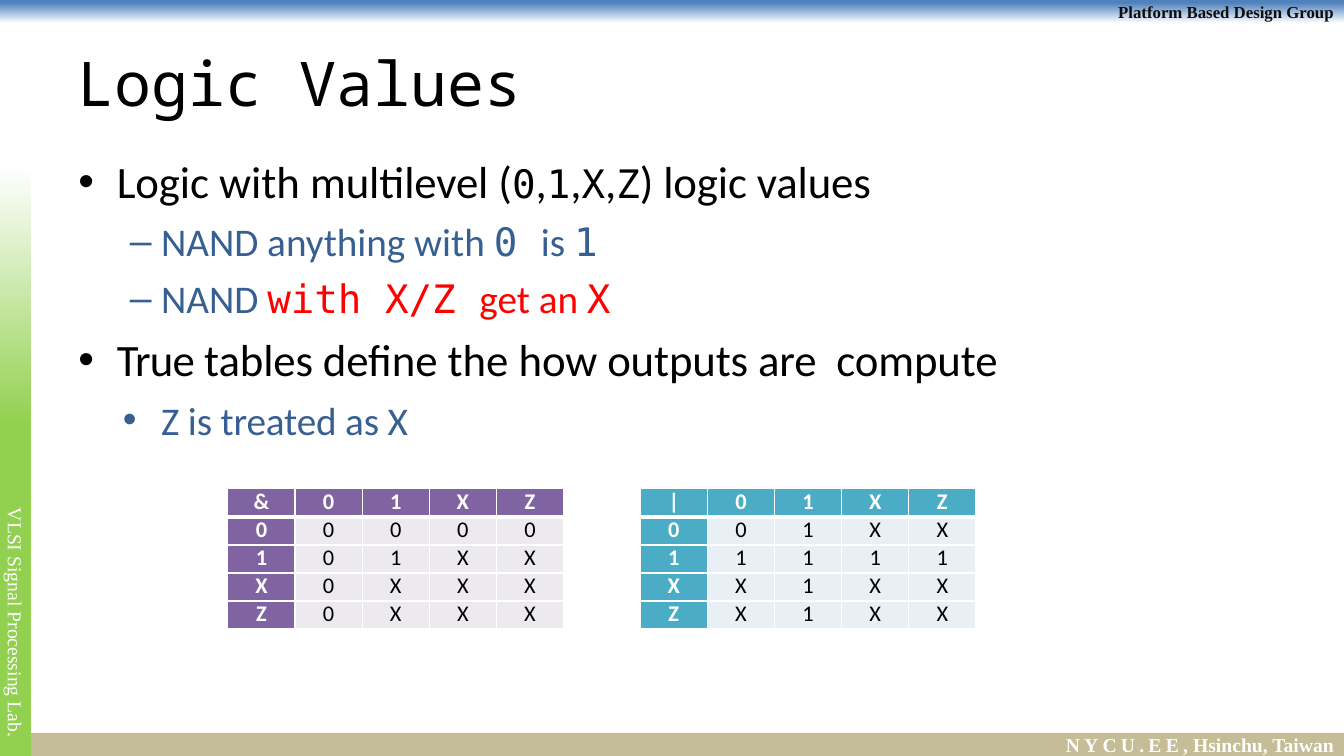
from lxml import etree
from pptx import Presentation
from pptx.dml.color import RGBColor
from pptx.enum.shapes import MSO_SHAPE
from pptx.enum.text import MSO_ANCHOR, PP_ALIGN
from pptx.oxml.ns import qn
from pptx.util import Inches, Pt

RECTANGLE = MSO_SHAPE.RECTANGLE
MIDDLE = MSO_ANCHOR.MIDDLE
LEFT, CENTER, RIGHT = PP_ALIGN.LEFT, PP_ALIGN.CENTER, PP_ALIGN.RIGHT

COLORS = {
    "white": "FFFFFF", "black": "000000", "ink": "0D0D0D",
    "blue": "4F81BD", "green": "92D050", "tan": "C4BD97",
    "navy": "376092", "red": "FF0000",
    "purple": "8063A1", "pale purple": "ECEAEF",
    "teal": "4AACC5", "pale teal": "E9F0F5",
}
SERIF, SANS, MONO, TITLE_FONT = "Times New Roman", "Calibri", "DejaVu Sans Mono", "Noto Sans Mono"

# Each run: text, font, size, colour, letter spacing in points
LEVELS_RUNS = [("0", ","), ("1", ","), ("X", ","), ("Z", ") logic values")]
MULTILEVEL = [("Logic ", SANS, 32, "black", -0.1), ("with ", SANS, 32, "black", 0),
              ("multilevel (", SANS, 32, "black", -0.1)]
for value, following in LEVELS_RUNS:
    MULTILEVEL += [(value, MONO, 28, "black", -0.1), (following, SANS, 32, "black", -0.1)]

# Each paragraph: level, bullet, left margin, hanging indent, space before, runs
BODY = [
    (0, "•", 0.39, 0.38, 0, MULTILEVEL),
    (1, "–", 0.83, 0.31, 7, [
        ("NAND anything with ", SANS, 28, "navy", 0), ("0 ", MONO, 28, "navy", 0),
        ("is ", SANS, 28, "navy", 0), ("1", MONO, 28, "navy", 0)]),
    (1, "–", 0.83, 0.31, 6.8, [
        ("NAND ", SANS, 28, "navy", 0), ("with X/Z ", MONO, 28, "red", 0),
        ("get an ", SANS, 28, "red", 0), ("X", MONO, 28, "red", 0)]),
    (0, "•", 0.39, 0.38, 7.4, [
        ("True ", SANS, 32, "black", -0.6), ("tables define ", SANS, 32, "black", -0.1),
        ("the ", SANS, 32, "black", 0), ("how outputs are  compute", SANS, 32, "black", -0.1)]),
    (1, "•", 0.83, 0.38, 7.4, [("Z is treated as X", SANS, 28, "navy", -0.1)]),
]

AND_ROWS = ["&01XZ", "00000", "101XX", "X0XXX", "Z0XXX"]
OR_ROWS = ["|01XZ", "001XX", "11111", "XX1XX", "ZX1XX"]


def color(name):
    return RGBColor.from_string(COLORS[name])


def add_run(paragraph, text, font, size, color_name, spacing=0, bold=False):
    run = paragraph.add_run()
    run.text = text
    run.font.name = font
    run.font.size = Pt(size)
    run.font.bold = bold
    run.font.color.rgb = color(color_name)
    if spacing:
        run.font._element.set("spc", str(round(spacing * 100)))


def add_bar(slide, box, fills, alignment, runs, angle=0, top_inset=0.05, vertical=False):
    """A master band; fills holds (colour, position) stops, one for a plain fill."""
    shape = slide.shapes.add_shape(RECTANGLE, *[Inches(length) for length in box])
    shape.shadow.inherit = False
    shape.line.fill.background()
    if len(fills) == 1:
        shape.fill.solid()
        shape.fill.fore_color.rgb = color(fills[0][0])
    else:
        shape.fill.gradient()
        shape.fill.gradient_angle = angle
        for stop, (name, position) in zip(shape.fill.gradient_stops, fills):
            stop.color.rgb = color(name)
            stop.position = position
    frame = shape.text_frame
    frame.word_wrap = True
    frame.vertical_anchor = MIDDLE
    frame.margin_top = Inches(top_inset)
    if vertical:
        frame._txBody.bodyPr.set("vert", "vert")
    paragraph = frame.paragraphs[0]
    paragraph.alignment = alignment
    for run in runs:
        add_run(paragraph, *run)


def add_title(slide, box, text):
    title = slide.shapes.title
    title.left, title.top, title.width, title.height = [Inches(length) for length in box]
    title.text_frame.vertical_anchor = MIDDLE
    paragraph = title.text_frame.paragraphs[0]
    paragraph.alignment = LEFT
    add_run(paragraph, text, TITLE_FONT, 44, "black")


def add_body(slide, box):
    frame = slide.shapes.add_textbox(*[Inches(length) for length in box]).text_frame
    frame.word_wrap = True
    for index, (level, bullet, margin, hanging, before, runs) in enumerate(BODY):
        paragraph = frame.add_paragraph() if index else frame.paragraphs[0]
        paragraph.level = level
        paragraph.space_before = Pt(before)
        properties = paragraph._p.get_or_add_pPr()
        properties.set("marL", str(Inches(margin)))
        properties.set("indent", str(-Inches(hanging)))
        etree.SubElement(properties, qn("a:buFont")).set("typeface", "Arial")
        etree.SubElement(properties, qn("a:buChar")).set("char", bullet)
        for run in runs:
            add_run(paragraph, *run)


def add_borders(cell, row):
    """White cell lines, thicker between the header and the values."""
    widths = {"L": 1, "R": 1, "T": 3 if row == 1 else 1, "B": 3 if row == 0 else 1}
    for side, width in widths.items():
        line = etree.SubElement(cell._tc.get_or_add_tcPr(), qn(f"a:ln{side}"))
        line.set("w", str(Pt(width)))
        fill = etree.SubElement(line, qn("a:solidFill"))
        etree.SubElement(fill, qn("a:srgbClr")).set("val", COLORS["white"])


def add_truth_table(slide, box, rows, header_color, value_color):
    left, top, width, height = [Inches(length) for length in box]
    count = len(rows)
    table = slide.shapes.add_table(count, count, left, top, width, height).table
    table.first_row = table.horz_banding = False
    for index in range(count):
        table.columns[index].width = round(width / count)
        table.rows[index].height = round(height / count)
    for row, values in enumerate(rows):
        for column, value in enumerate(values):
            header = row == 0 or column == 0
            cell = table.cell(row, column)
            add_borders(cell, row)
            cell.fill.solid()
            cell.fill.fore_color.rgb = color(header_color if header else value_color)
            cell.margin_left = cell.margin_right = cell.margin_top = cell.margin_bottom = 0
            paragraph = cell.text_frame.paragraphs[0]
            paragraph.alignment = CENTER
            paragraph.line_spacing = Pt(18.9)
            add_run(paragraph, value, SANS, 16, "white" if header else "black", bold=header)


def add_master_bars(slide):
    add_bar(slide, (0, 0, 13.33, 0.23), [("blue", 0.12), ("white", 1)], RIGHT,
            [("Platform Based Design Group", SERIF, 12, "ink", 0, True)], angle=270)
    add_bar(slide, (0, 7.27, 13.33, 0.23), [("tan", 0)], RIGHT,
            [("NYCU.EE", SERIF, 14, "white", 3, True),
             (", Hsinchu, Taiwan", SERIF, 14, "white", 0, True)])
    add_bar(slide, (0, 1.64, 0.31, 5.86), [("green", 0.56), ("white", 1)], CENTER,
            [("VLSI Signal Processing Lab.", SERIF, 14, "white")],
            angle=90, top_inset=3.31, vertical=True)


def main():
    presentation = Presentation()
    presentation.slide_width = Inches(13.33)
    presentation.slide_height = Inches(7.5)
    slide = presentation.slides.add_slide(presentation.slide_layouts[5])
    add_master_bars(slide)
    add_title(slide, (0.67, 0.3, 12, 1.03), "Logic Values")
    add_body(slide, (0.67, 1.48, 12, 5.47))
    add_truth_table(slide, (2.26, 4.85, 3.33, 1.39), AND_ROWS, "purple", "pale purple")
    add_truth_table(slide, (6.35, 4.85, 3.33, 1.39), OR_ROWS, "teal", "pale teal")
    presentation.save("out.pptx")


if __name__ == "__main__":
    main()
